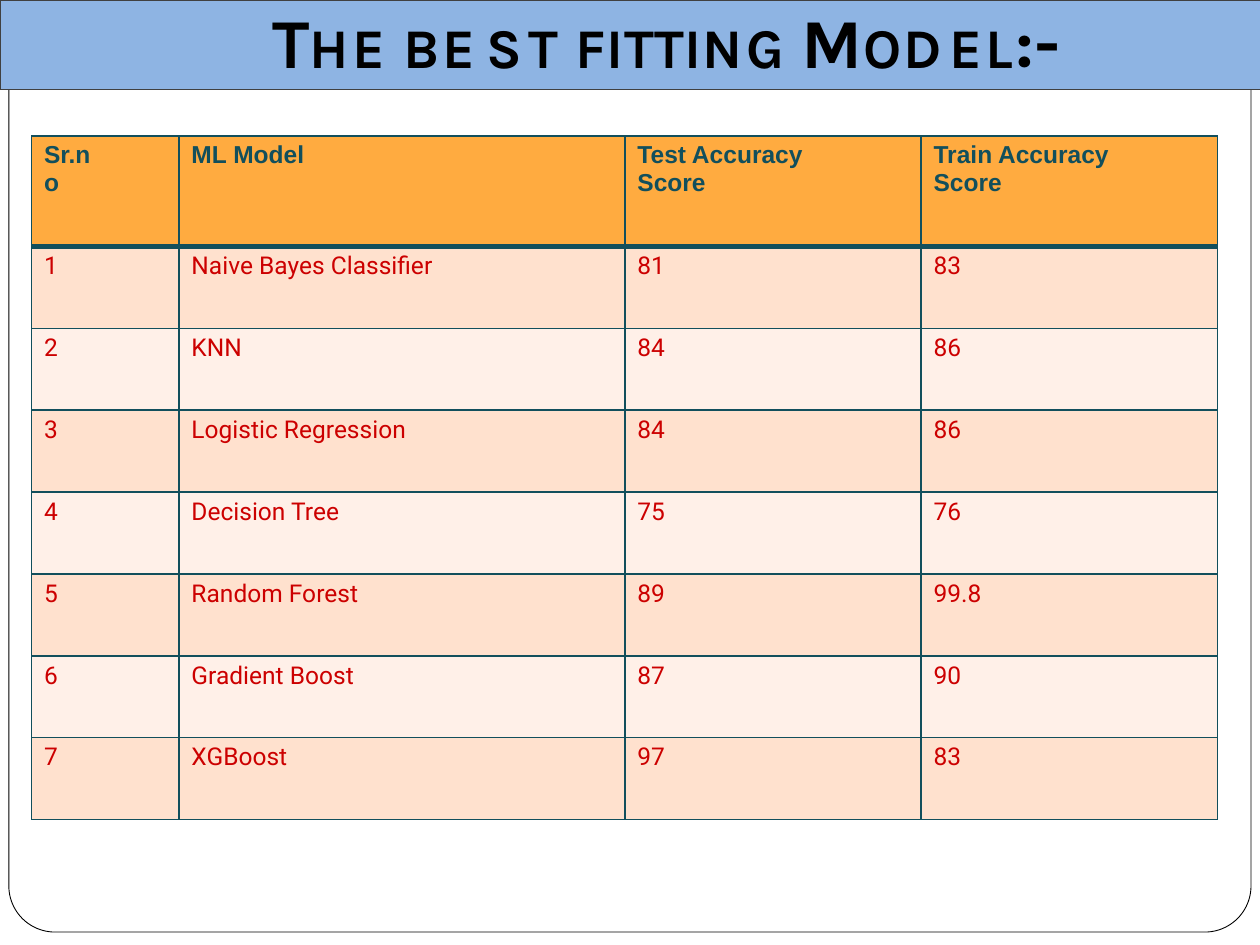
"""Build a slide with a table comparing the accuracy of machine learning models."""
from typing import NamedTuple

from lxml import etree
from pptx import Presentation
from pptx import util as u
from pptx.dml.color import RGBColor
from pptx.enum import shapes, text
from pptx.oxml import ns

BLACK = RGBColor(0x00, 0x00, 0x00)
WHITE = RGBColor(0xFF, 0xFF, 0xFF)
GREY = RGBColor(0x40, 0x40, 0x40)
BLUE = RGBColor(0x8E, 0xB4, 0xE3)
TEAL = RGBColor(0x12, 0x4F, 0x5C)
RED = RGBColor(0xCC, 0x00, 0x00)
ORANGE = RGBColor(0xFF, 0xAB, 0x40)
PEACH = RGBColor(0xFF, 0xE1, 0xCE)
CREAM = RGBColor(0xFF, 0xF0, 0xE8)


class Area(NamedTuple):
    left: float
    top: float
    width: float
    height: float

    def lengths(self) -> list[u.Cm]:
        return [u.Cm(value) for value in self]


class TitleSpan(NamedTuple):
    wording: str
    spacing: float
    small_caps: bool = True


class RowStyle(NamedTuple):
    font: str
    color: RGBColor
    fill: RGBColor
    bold: bool = False
    right_margin: float = 0
    top_line: float = 1
    bottom_line: float = 1


class Model(NamedTuple):
    number: str
    name: str
    test_score: str
    train_score: str


FRAME = Area(0.18, 0.2, 25.04, 18.59)
BAND = Area(0, 0, 25.48, 1.8)
TITLE = Area(3.18, -0.08, 20.52, 1.75)
TABLE = Area(0.64, 2.74, 23.91, 13.77)
COLUMN_WIDTHS = (2.97, 8.99, 5.97, 5.97)
HEADER_HEIGHT, ROW_HEIGHT = 2.23, 1.65
CELL_INDENT = 0.25

TITLE_SPANS = (
    TitleSpan("T", -0.3, False),
    TitleSpan("h", 0.8),
    TitleSpan("e ", 0.6),
    TitleSpan("be", 2.1),
    TitleSpan("s", 1.7),
    TitleSpan("t ", 0.5),
    TitleSpan("fittin", 0.3),
    TitleSpan("g ", 0.5),
    TitleSpan("M", -1.7, False),
    TitleSpan("od", 1.4),
    TitleSpan("e", 1.1),
    TitleSpan("l", 0.6),
    TitleSpan(":", -1.4, False),
    TitleSpan("-", -4.4, False),
)
HEADER = Model("Sr.no", "ML Model", "Test Accuracy Score", "Train Accuracy Score")
MODELS = (
    Model("1", "Naive Bayes Classifier", "81", "83"),
    Model("2", "KNN", "84", "86"),
    Model("3", "Logistic Regression", "84", "86"),
    Model("4", "Decision Tree", "75", "76"),
    Model("5", "Random Forest", "89", "99.8"),
    Model("6", "Gradient Boost", "87", "90"),
    Model("7", "XGBoost", "97", "83"),
)


def add_panel(page, kind, area: Area, fill: RGBColor, line: RGBColor, weight: float):
    panel = page.shapes.add_shape(kind, *area.lengths())
    panel.shadow.inherit = False
    panel.fill.solid()
    panel.fill.fore_color.rgb = fill
    panel.line.color.rgb = line
    panel.line.width = u.Pt(weight)
    return panel


def write_title(title) -> None:
    title.left, title.top, title.width, title.height = TITLE.lengths()
    frame = title.text_frame
    frame.margin_left = frame.margin_right = frame.margin_bottom = 0
    frame.margin_top = u.Cm(0.03)
    frame.vertical_anchor = text.MSO_ANCHOR.BOTTOM
    frame.auto_size = text.MSO_AUTO_SIZE.SHAPE_TO_FIT_TEXT
    para = frame.paragraphs[0]
    para.alignment = text.PP_ALIGN.CENTER
    para.space_before = u.Pt(0.9)
    para.font.size = u.Pt(40)
    para.font.name = "Karla"
    para.font.bold = True
    para.font.color.rgb = BLACK
    for wording, spacing, small_caps in TITLE_SPANS:
        span = para.add_run()
        span.text = wording
        properties = span.font._element if hasattr(span.font, "_element") else span._r.get_or_add_rPr()
        properties.set("spc", str(round(spacing * 100)))
        if small_caps:
            properties.set("cap", "small")
    title.element.getparent().append(title.element)


def set_borders(cell, top: float, bottom: float) -> None:
    properties = cell._tc.get_or_add_tcPr()
    for side, weight in (("L", 1), ("R", 1), ("T", top), ("B", bottom)):
        line = etree.SubElement(properties, ns.qn(f"a:ln{side}"), w=str(u.Pt(weight)))
        fill = etree.SubElement(line, ns.qn("a:solidFill"))
        etree.SubElement(fill, ns.qn("a:srgbClr"), val=str(TEAL))


def fill_cell(cell, wording: str, style: RowStyle) -> None:
    set_borders(cell, style.top_line, style.bottom_line)
    cell.fill.solid()
    cell.fill.fore_color.rgb = style.fill
    cell.margin_left = cell.margin_bottom = 0
    cell.margin_right = u.Cm(style.right_margin)
    cell.margin_top = u.Cm(0.11)
    cell.text = wording
    para = cell.text_frame.paragraphs[0]
    para._p.get_or_add_pPr().set("marL", str(u.Cm(CELL_INDENT)))
    para.space_before = u.Pt(3.2)
    para.font.size = u.Pt(14)
    para.font.name = style.font
    para.font.bold = style.bold
    para.font.color.rgb = style.color


def add_model_table(page) -> None:
    rows = (HEADER, *MODELS)
    table = page.shapes.add_table(len(rows), len(COLUMN_WIDTHS), *TABLE.lengths()).table
    table.first_row = table.horz_banding = False
    for column, width in zip(table.columns, COLUMN_WIDTHS):
        column.width = u.Cm(width)
    for index, values in enumerate(rows):
        if index == 0:
            style = RowStyle("Arial", TEAL, ORANGE, bold=True, right_margin=1.6, bottom_line=3)
        else:
            fill = PEACH if index % 2 else CREAM
            style = RowStyle("Roboto", RED, fill, top_line=3 if index == 1 else 1)
        table.rows[index].height = u.Cm(ROW_HEIGHT if index else HEADER_HEIGHT)
        for cell, wording in zip(table.rows[index].cells, values):
            fill_cell(cell, wording, style)


def main() -> None:
    deck = Presentation()
    deck.slide_width, deck.slide_height = u.Cm(25.4), u.Cm(19.05)
    page = deck.slides.add_slide(deck.slide_layouts[5])
    kinds = shapes.MSO_SHAPE
    frame = add_panel(page, kinds.ROUNDED_RECTANGLE, FRAME, WHITE, BLACK, 0.5)
    frame.adjustments[0] = 0.05
    add_panel(page, kinds.RECTANGLE, BAND, BLUE, GREY, 0.75)
    write_title(page.shapes.title)
    add_model_table(page)
    deck.save("out.pptx")


if __name__ == "__main__":
    main()
